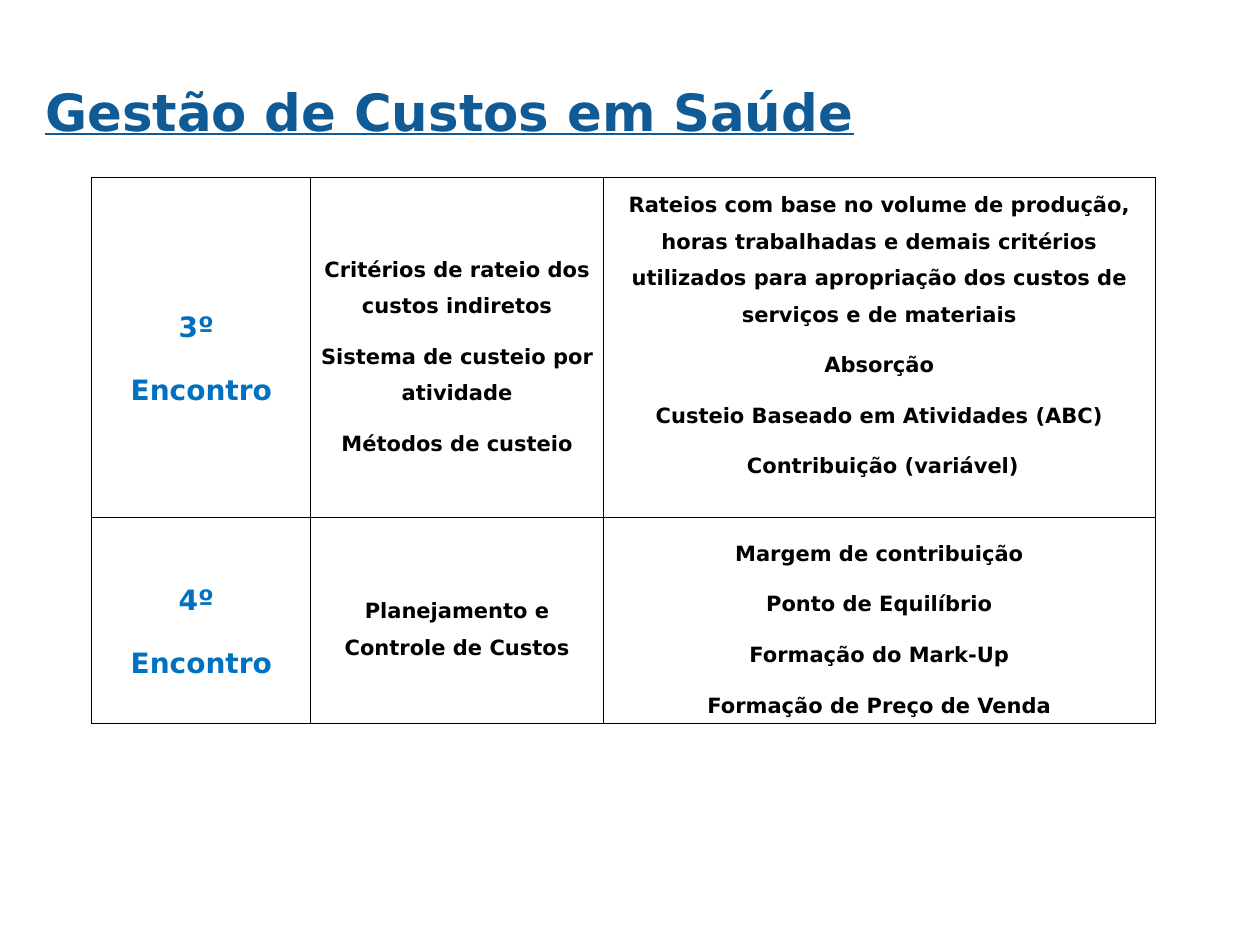
from lxml.etree import SubElement
from pptx import Presentation
from pptx.dml.color import RGBColor
from pptx.enum.text import MSO_ANCHOR, MSO_AUTO_SIZE, PP_ALIGN
from pptx.oxml.ns import qn
from pptx.util import Cm, Pt

TITLE_BLUE = RGBColor(0x10, 0x5B, 0x95)
MEETING_BLUE = RGBColor(0x00, 0x70, 0xC0)
BLACK = RGBColor(0, 0, 0)
WHITE = RGBColor(0xFF, 0xFF, 0xFF)

COLUMN_WIDTHS = (6.63, 8.84, 16.69)
ROW_HEIGHTS = (10.29, 6.23)
MEETINGS = [
    [
        ["3º ", "Encontro"],
        ["Critérios de rateio dos custos indiretos",
         "Sistema de custeio por atividade",
         "Métodos de custeio"],
        ["Rateios com base no volume de produção, horas trabalhadas e demais "
         "critérios utilizados para apropriação dos custos de serviços e de materiais",
         "Absorção",
         "Custeio Baseado em Atividades (ABC)",
         " Contribuição (variável)"],
    ],
    [
        ["4º ", "Encontro"],
        ["Planejamento e Controle de Custos"],
        ["Margem de contribuição",
         "Ponto de Equilíbrio",
         "Formação do Mark-Up",
         "Formação de Preço de Venda"],
    ],
]


def write(frame, lines, size, color, font="DejaVu Sans", underline=None,
          align=PP_ALIGN.LEFT, line_spacing=1.0, gap=0):
    """Fill a text frame with one bold paragraph per line, gap points apart."""
    for index, line in enumerate(lines):
        paragraph = frame.add_paragraph() if index else frame.paragraphs[0]
        paragraph.alignment = align
        paragraph.line_spacing = line_spacing
        paragraph.space_before = Pt(gap if index else 0)
        paragraph.space_after = Pt(gap)
        run = paragraph.add_run()
        run.text = line
        run.font.name = font
        run.font.size = Pt(size)
        run.font.bold = True
        run.font.underline = underline
        run.font.color.rgb = color


def add_borders(cell, color, width):
    properties = cell._tc.get_or_add_tcPr()
    for side in ("lnL", "lnR", "lnT", "lnB"):
        line = SubElement(properties, qn(f"a:{side}"), w=str(Pt(width)))
        fill = SubElement(line, qn("a:solidFill"))
        SubElement(fill, qn("a:srgbClr"), val=str(color))


class CourseSlide:
    def __init__(self, slide):
        self.slide = slide
        self.meeting_style = {"size": 24, "color": MEETING_BLUE}
        self.topic_style = {"size": 18, "color": BLACK}

    def title(self, text, left, top, width, height):
        title = self.slide.shapes.title
        title.left, title.top = Cm(left), Cm(top)
        title.width, title.height = Cm(width), Cm(height)
        frame = title.text_frame
        frame.auto_size = MSO_AUTO_SIZE.NONE
        frame.word_wrap = True
        frame.vertical_anchor = MSO_ANCHOR.TOP
        frame.margin_left = frame.margin_right = Cm(0.38)
        frame.margin_top = Cm(0.25)
        frame.margin_bottom = Cm(0.18)
        write(frame, [text], size=44, color=TITLE_BLUE, underline=True)

    def schedule(self, meetings, left, top):
        table = self.slide.shapes.add_table(
            len(meetings), len(COLUMN_WIDTHS), Cm(left), Cm(top),
            Cm(sum(COLUMN_WIDTHS)), Cm(sum(ROW_HEIGHTS))).table
        table.first_row = table.horz_banding = False
        for column, width in zip(table.columns, COLUMN_WIDTHS):
            column.width = Cm(width)
        for row, height, contents in zip(table.rows, ROW_HEIGHTS, meetings):
            row.height = Cm(height)
            for index, (cell, lines) in enumerate(zip(row.cells, contents)):
                style = self.topic_style if index else self.meeting_style
                self.schedule_cell(cell, lines, style)
        # The longest list sits against the top of its row.
        longest = table.cell(0, 2)
        longest.margin_top, longest.margin_bottom = Cm(0), Cm(1.05)

    def schedule_cell(self, cell, lines, style):
        add_borders(cell, BLACK, 1)
        cell.fill.solid()
        cell.fill.fore_color.rgb = WHITE
        cell.vertical_anchor = MSO_ANCHOR.MIDDLE
        cell.margin_left = cell.margin_right = Cm(0.18)
        cell.margin_top, cell.margin_bottom = Cm(0.21), Cm(0)
        write(cell.text_frame, lines, align=PP_ALIGN.CENTER,
              line_spacing=1.5, gap=6, **style)


def main():
    presentation = Presentation()
    presentation.slide_width = Cm(38.1)
    presentation.slide_height = Cm(28.58)
    title_only = presentation.slide_layouts[5]
    course = CourseSlide(presentation.slides.add_slide(title_only))
    course.title("Gestão de Custos em Saúde", 0.99, 2.18, 27.79, 2.74)
    course.schedule(MEETINGS, 2.77, 5.36)
    presentation.save("out.pptx")


if __name__ == "__main__":
    main()
